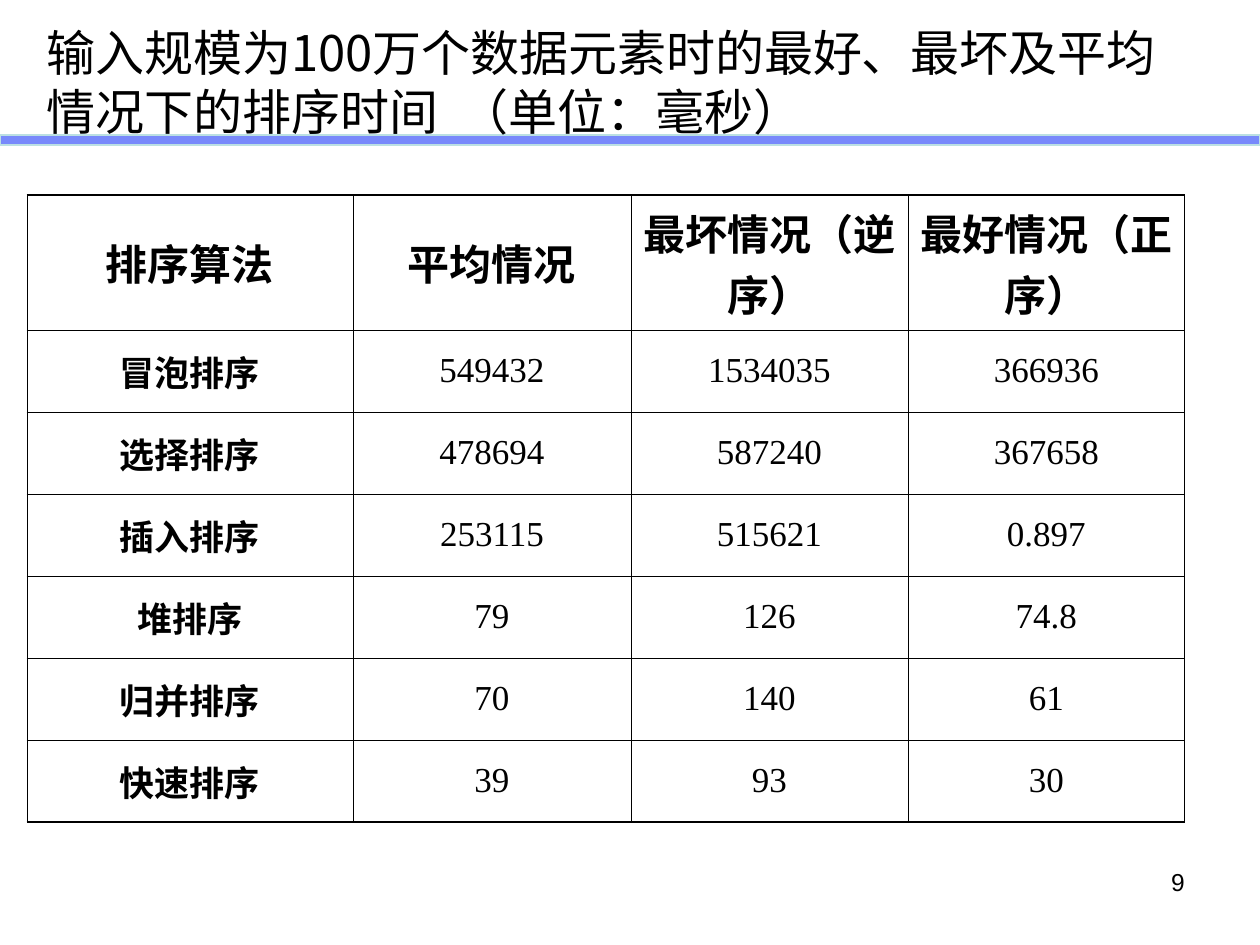
import pptx
import pptx.dml.color
import pptx.enum.shapes
import pptx.enum.text
import pptx.util
import lxml.etree
from dataclasses import dataclass

ALIGN = pptx.enum.text.PP_ALIGN
ANCHOR = pptx.enum.text.MSO_ANCHOR
A = "{http://schemas.openxmlformats.org/drawingml/2006/main}"

ROWS = [
    ["排序算法", "平均情况", "最坏情况（逆序）", "最好情况（正序）"],
    ["冒泡排序", "549432", "1534035", "366936"],
    ["选择排序", "478694", "587240", "367658"],
    ["插入排序", "253115", "515621", "0.897"],
    ["堆排序", "79", "126", "74.8"],
    ["归并排序", "70", "140", "61"],
    ["快速排序", "39", "93", "30"],
]


@dataclass(frozen=True)
class Theme:
    ink: str = "000000"
    bar: str = "7889FB"
    rim: str = "BBE0E3"
    cjk: str = "Noto Sans CJK JP"
    serif: str = "Times New Roman"
    sans: str = "Arial"
    title: int = 28
    head: int = 24
    body: int = 20
    page: int = 14
    thick: float = 1.08
    thin: float = 0.45


THEME = Theme()


def px(n):
    return pptx.util.Emu(round(n * 914400 / 126))


def color(code):
    return pptx.dml.color.RGBColor.from_string(code)


def style(para, face, size, align, bold=False):
    para.alignment = align
    for run in para.runs:
        font = run.font
        font.name, font.size, font.bold = face, pptx.util.Pt(size), bold
        font.color.rgb = color(THEME.ink)
        east = lxml.etree.Element(A + "ea", typeface=THEME.cjk)
        run._r.rPr.find(A + "latin").addnext(east)


def place(shape, x, y, w, h):
    shape.left, shape.top, shape.width, shape.height = map(px, (x, y, w, h))


def add_bar(slide):
    kind = pptx.enum.shapes.MSO_SHAPE.RECTANGLE
    bar = slide.shapes.add_shape(kind, px(0), px(135), px(1260), px(10))
    bar.shadow.inherit = False
    bar.fill.solid()
    bar.fill.fore_color.rgb = color(THEME.bar)
    bar.line.color.rgb = color(THEME.rim)
    bar.line.width = pptx.util.Pt(0.75)


def set_title(slide, text):
    title = slide.shapes.title
    place(title, 34, 16, 1160, 131)
    frame = title.text_frame
    frame.text = text
    frame.word_wrap = True
    frame.auto_size = pptx.enum.text.MSO_AUTO_SIZE.NONE
    frame.vertical_anchor = ANCHOR.TOP
    para = frame.paragraphs[0]
    para.line_spacing = 1.0
    style(para, THEME.cjk, THEME.title, ALIGN.LEFT)
    slide.shapes._spTree.append(title._element)


def add_page(slide, text):
    box = slide.shapes.add_textbox(px(903), px(861), px(294), px(66))
    frame = box.text_frame
    frame.text = text
    frame.word_wrap = True
    style(frame.paragraphs[0], THEME.sans, THEME.page, ALIGN.RIGHT)


def set_edge(cell, side, width):
    props = cell._tc.get_or_add_tcPr()
    line = lxml.etree.SubElement(props, A + "ln" + side, w=str(pptx.util.Pt(width)))
    fill = lxml.etree.SubElement(line, A + "solidFill")
    lxml.etree.SubElement(fill, A + "srgbClr", val=THEME.ink)


def fill_cell(cell, text, row, col):
    outer = {"L": False, "R": False, "T": row == 0, "B": row == len(ROWS) - 1}
    for side, is_outer in outer.items():
        set_edge(cell, side, THEME.thick if is_outer else THEME.thin)
    cell.fill.background()
    cell.vertical_anchor = ANCHOR.MIDDLE
    cell.margin_left = cell.margin_right = px(12)
    cell.text_frame.text = text
    size = THEME.head if row == 0 else THEME.body
    bold = row == 0 or col == 0
    style(cell.text_frame.paragraphs[0], THEME.serif, size, ALIGN.CENTER, bold)


def add_grid(slide):
    widths = [326, 278, 277, 277]
    heights = [135] + [82] * (len(ROWS) - 1)
    frame = slide.shapes.add_table(
        len(ROWS), len(widths), px(27), px(195), px(sum(widths)), px(sum(heights)))
    table = frame.table
    table.first_row = table.horz_banding = False
    for col, width in zip(table.columns, widths):
        col.width = px(width)
    for row, height in zip(table.rows, heights):
        row.height = px(height)
    for r, row in enumerate(ROWS):
        for c, text in enumerate(row):
            fill_cell(table.cell(r, c), text, r, c)


def main():
    deck = pptx.Presentation()
    deck.slide_width, deck.slide_height = px(1260), px(945)
    slide = deck.slides.add_slide(deck.slide_layouts[5])
    add_bar(slide)
    add_page(slide, "9")
    add_grid(slide)
    set_title(slide, "输入规模为100万个数据元素时的最好、最坏及平均情况下的排序时间  （单位：毫秒）")
    deck.save("out.pptx")


if __name__ == "__main__":
    main()
